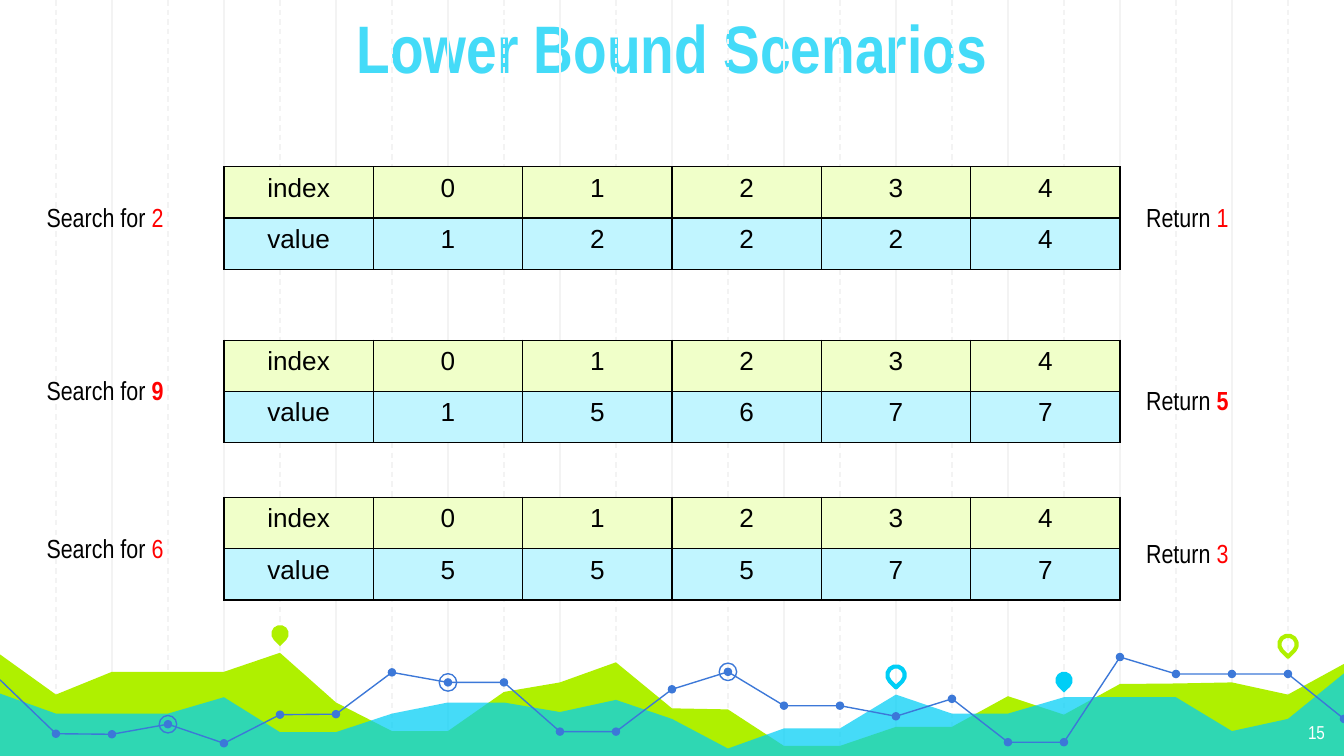
from lxml.etree import SubElement
from pptx import Presentation
from pptx.dml.color import RGBColor
from pptx.enum.dml import MSO_LINE
from pptx.enum.shapes import MSO_CONNECTOR, MSO_SHAPE
from pptx.enum.text import MSO_ANCHOR, MSO_AUTO_SIZE, PP_ALIGN
from pptx.oxml.ns import qn
from pptx.util import Cm, Pt

TITLE = "Lower Bound Scenarios"
PAGE = "15"
# table top, values, searched value, returned index, top of return label, bold
SCENARIOS = [
    (3.15, [1, 2, 2, 2, 4], 2, 1, 3.68, False),
    (6.43, [1, 5, 6, 7, 7], 9, 5, 7.14, True),
    (9.4, [5, 5, 5, 7, 7], 6, 3, 10.03, False),
]

# Heights in cm, one for each vertical grid line from 0 to 24
GREEN_HILLS = [12.37, 13.13, 12.7, 12.7, 12.7, 12.34, 13.28, 13.82, 13.82,
               13.08, 12.9, 12.52, 13.39, 13.41, 14.1, 14.1, 13.74, 13.74,
               13.16, 13.51, 12.93, 12.92, 12.9, 13.13, 12.55]
BLUE_HILLS = [13.11, 13.49, 13.49, 13.49, 13.18, 13.84, 13.84, 13.49, 13.28,
              13.28, 13.46, 13.23, 13.59, 14.15, 13.77, 13.77, 13.13, 13.49,
              13.49, 13.18, 13.18, 13.18, 13.82, 13.59, 12.73]
TREND = [12.85, 13.87, 13.88, 13.69, 14.05, 13.51, 13.5, 12.71, 12.9, 12.9,
         13.83, 13.83, 13.03, 12.7, 13.34, 13.34, 13.54, 13.21, 14.03, 14.03,
         12.42, 12.74, 12.74, 12.74, 13.59]
TREND_PARTS = [(0, 11), (11, 20), (20, 24)]
RINGED = [8, 3, 13]
# grid line, centre height, colour, filled
PINS = [(5, 11.98, "AFF000", True), (16, 12.76, "00CEF6", False),
        (19, 12.86, "00CEF6", True), (23, 12.18, "AFF000", False)]

WIDTH, HEIGHT = 25.4, 14.29
STEP = WIDTH / 24
TABLE_X, TABLE_W, ROW_H = 4 * STEP, 16 * STEP, 0.97
DOT, RING = 0.16, 0.33
NARROW = "Arial Narrow"
BLACK, RED, TREND_BLUE = "000000", "FF0000", "3C78D8"
BODY = {"size": Pt(14), "name": NARROW}

prs = Presentation()
prs.slide_width, prs.slide_height = Cm(WIDTH), Cm(HEIGHT)
s = prs.slides.add_slide(prs.slide_layouts[5])


def color(hex_value):
    return RGBColor.from_string(hex_value)


def paint(sp, fill=None, line=None, width=0.75):
    """Set fill and line; None leaves that part empty."""
    sp.shadow.inherit = False
    if fill:
        sp.fill.solid()
        sp.fill.fore_color.rgb = color(fill)
    else:
        sp.fill.background()
    if line:
        sp.line.color.rgb = color(line)
        sp.line.width = Pt(width)
    else:
        sp.line.fill.background()


def add_run(p, text, font_color, **fmt):
    r = p.add_run()
    r.text = str(text)
    r.font.color.rgb = color(font_color)
    for key, value in fmt.items():
        setattr(r.font, key, value)


def add_text_box(x, y, w, h):
    tf = s.shapes.add_textbox(Cm(x), Cm(y), Cm(w), Cm(h)).text_frame
    tf.word_wrap = True
    return tf


def add_label(x, y, w, text, number, bold):
    tf = add_text_box(x, y, w, 0.86)
    tf.auto_size = MSO_AUTO_SIZE.SHAPE_TO_FIT_TEXT
    add_run(tf.paragraphs[0], text, BLACK, **BODY)
    add_run(tf.paragraphs[0], number, RED, bold=bold, **BODY)


def add_grid_line(i, dashed):
    line = s.shapes.add_connector(MSO_CONNECTOR.STRAIGHT, Cm(i * STEP), 0,
                                  Cm(i * STEP), Cm(HEIGHT))
    line.line.color.rgb = color("F3F3F3")
    line.line.width = Pt(0.75)
    if dashed:
        line.line.dash_style = MSO_LINE.DASH
    SubElement(line._element.spPr, qn("a:effectLst"))


def add_outline(points, close):
    points = [(Cm(x), Cm(y)) for x, y in points]
    builder = s.shapes.build_freeform(*points[0])
    builder.add_line_segments(points[1:], close=close)
    return builder.convert_to_shape()


def grid_points(heights, first=0):
    return [(i * STEP, y) for i, y in enumerate(heights, first)]


def add_hills(heights, fill):
    corners = [(WIDTH, HEIGHT), (0, HEIGHT)]
    sp = add_outline(grid_points(heights) + corners, True)
    paint(sp, fill)
    return sp


def add_marker(kind, i, y, size, **look):
    """Centre a small shape on grid line i."""
    sp = s.shapes.add_shape(kind, Cm(i * STEP - size / 2), Cm(y - size / 2),
                            Cm(size), Cm(size))
    paint(sp, **look)
    return sp


def add_border(cell):
    pr = cell._tc.get_or_add_tcPr()
    for i, side in enumerate(("a:lnL", "a:lnR", "a:lnT", "a:lnB")):
        ln = pr.makeelement(qn(side), {"w": str(Pt(0.75))})
        fill = SubElement(ln, qn("a:solidFill"))
        SubElement(fill, qn("a:srgbClr"), val=BLACK)
        pr.insert(i, ln)


def add_value_table(y, values):
    rows = [("F0FFC9", ["index", *range(len(values))]),
            ("C1F5FF", ["value", *values])]
    columns = len(values) + 1
    table = s.shapes.add_table(len(rows), columns, Cm(TABLE_X), Cm(y),
                               Cm(TABLE_W), Cm(ROW_H * len(rows))).table
    table.first_row = table.horz_banding = False
    for column in table.columns:
        column.width = Cm(TABLE_W / columns)
    for r, (fill, texts) in enumerate(rows):
        table.rows[r].height = Cm(ROW_H)
        for c, text in enumerate(texts):
            cell = table.cell(r, c)
            cell.fill.solid()
            cell.fill.fore_color.rgb = color(fill)
            p = cell.text_frame.paragraphs[0]
            p.alignment = PP_ALIGN.CENTER
            add_run(p, text, BLACK, size=Pt(14), name="Arial")
            add_border(cell)


# Background grid: solid lines on even positions, dashed on odd ones
for start, dashed in ((2, False), (1, True)):
    for i in range(start, 24, 2):
        add_grid_line(i, dashed)

# Hills, pins and trend line along the bottom
add_hills(GREEN_HILLS, "AFF000")
blue = add_hills(BLUE_HILLS, "00CEF6")
SubElement(blue._element.spPr.find(".//" + qn("a:srgbClr")), qn("a:alpha"),
           val="73000")

for first, last in TREND_PARTS:
    part = add_outline(grid_points(TREND[first:last + 1], first), False)
    paint(part, line=TREND_BLUE)
for i, y in enumerate(TREND[1:], 1):
    add_marker(MSO_SHAPE.OVAL, i, y, DOT, fill=TREND_BLUE)
for i in RINGED:
    add_marker(MSO_SHAPE.OVAL, i, TREND[i], RING, line=TREND_BLUE)
for i, y, pin_color, filled in PINS:
    look = {"fill": pin_color} if filled else {"line": pin_color, "width": 2.25}
    add_marker(MSO_SHAPE.TEAR, i, y, RING, **look).rotation = 135

# Title and page number
title = s.shapes.title
title.left, title.top, title.width, title.height = 0, 0, Cm(WIDTH), Cm(1.8)
tf = title.text_frame
tf.vertical_anchor = MSO_ANCHOR.TOP
tf.auto_size = MSO_AUTO_SIZE.SHAPE_TO_FIT_TEXT
tf.paragraphs[0].alignment = PP_ALIGN.CENTER
add_run(tf.paragraphs[0], TITLE, "44DBF8", size=Pt(36), name=NARROW, bold=True)

tf = add_text_box(23.77, 13.41, 1.52, 0.88)
tf.margin_top = tf.margin_bottom = Cm(0.25)
tf.paragraphs[0].alignment = PP_ALIGN.RIGHT
add_run(tf.paragraphs[0], PAGE, "FFFFFF", size=Pt(10), name=NARROW)

# Scenarios
for y, values, target, result, return_y, bold in SCENARIOS:
    add_value_table(y, values)
    add_label(0.63, y + 0.53, 4.29, "Search for ", target, bold)
    add_label(21.41, return_y, 3.15, "Return ", result, bold)

prs.save("out.pptx")
